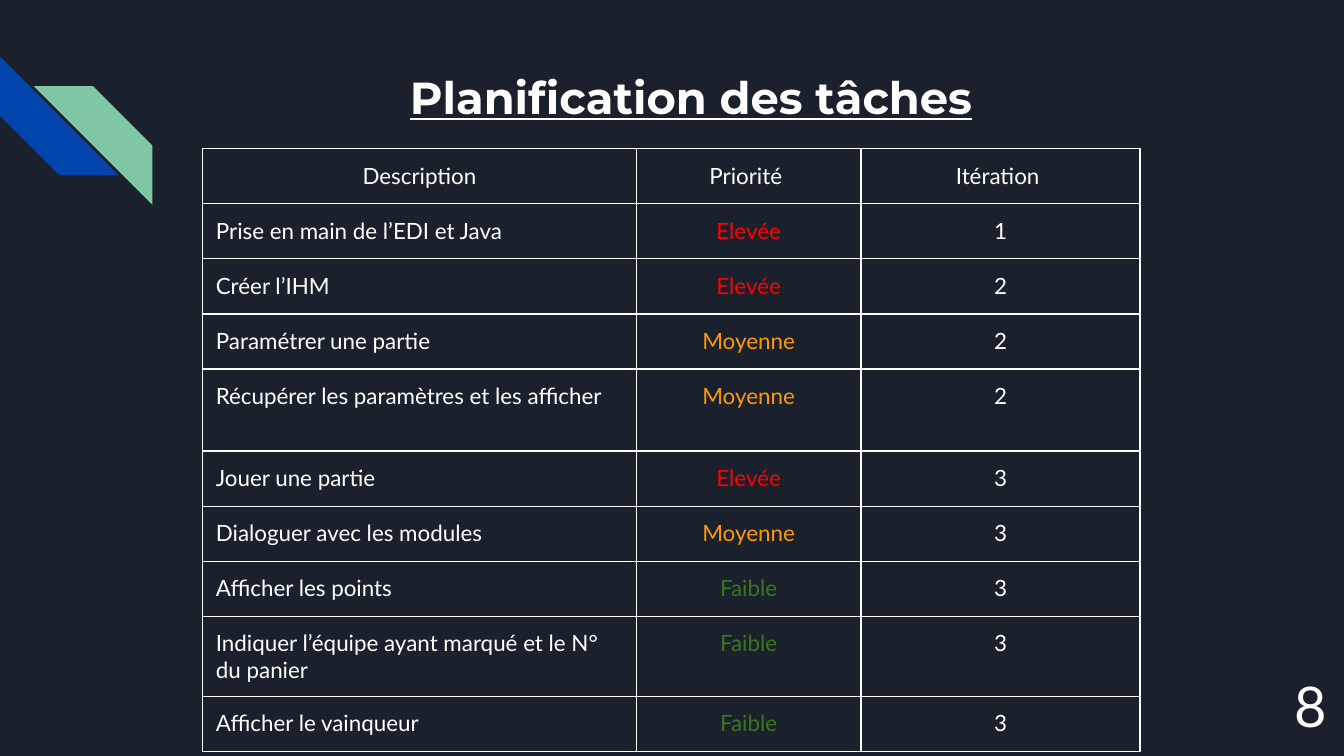
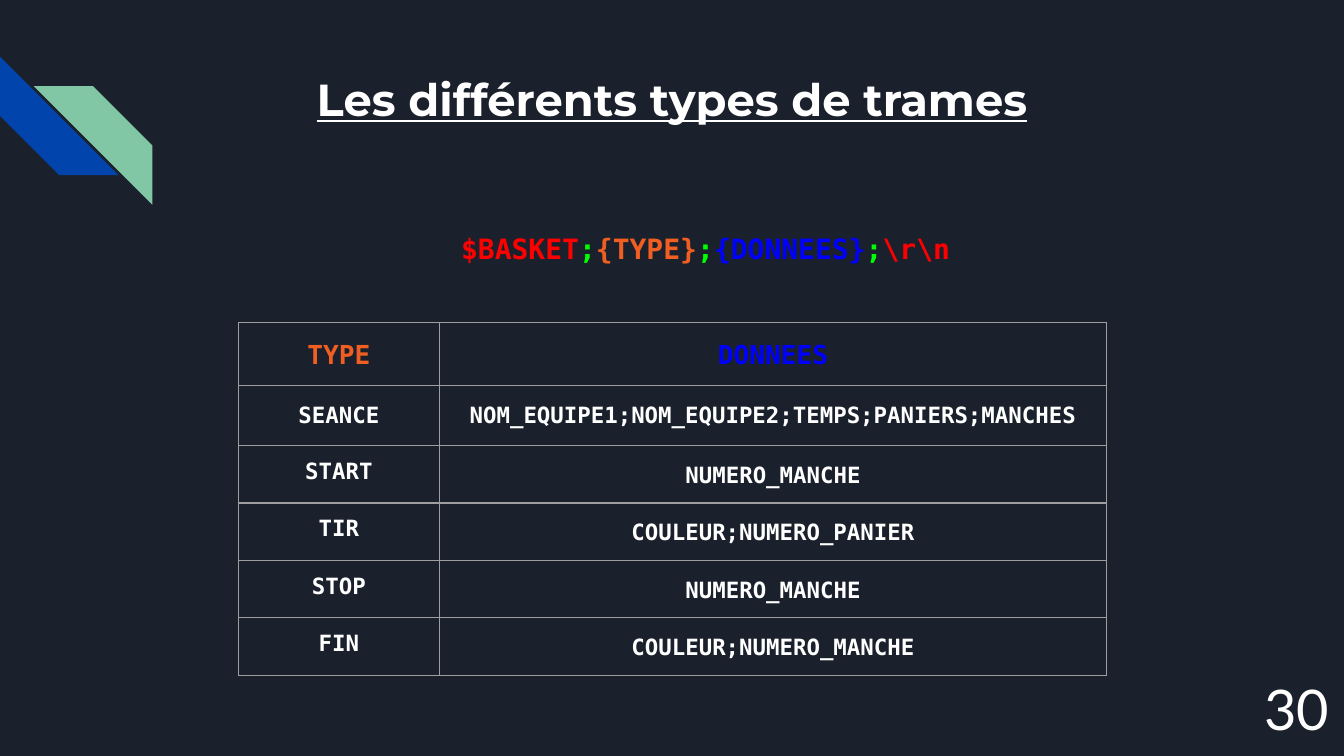
from dataclasses import dataclass, replace

import pptx
import pptx.dml.color
import pptx.enum.shapes
import pptx.enum.text
import pptx.oxml
import pptx.oxml.ns
import pptx.util

Cm = pptx.util.Cm
Pt = pptx.util.Pt
RGB = pptx.dml.color.RGBColor.from_string
ALIGN = pptx.enum.text.PP_ALIGN


@dataclass(frozen=True)
class Theme:
    background: str = "1B212C"
    text: str = "FFFFFF"
    blue_stripe: str = "0145AC"
    green_stripe: str = "82C7A5"
    grid: str = "9E9E9E"
    red: str = "FF0000"
    amber: str = "FF9900"
    dark_green: str = "38761D"
    orange: str = "F15E22"
    bright_green: str = "00FF00"
    blue: str = "0000FF"
    title_font: str = "Montserrat"
    body_font: str = "Lato"
    code_font: str = "DejaVu Sans Mono"
    title_size: int = 24
    number_size: int = 30
    frame_size: int = 15
    code_header_size: int = 14
    body_size: int = 12
    inset: float = 0.25


THEME = Theme()


@dataclass(frozen=True)
class TextStyle:
    font: str
    size: int
    color: str = THEME.text
    bold: bool = False
    underline: bool = False
    align: ALIGN = ALIGN.CENTER
    line_spacing: float = 1.0


TITLE = TextStyle(THEME.title_font, THEME.title_size, bold=True, underline=True)
NUMBER = TextStyle(THEME.body_font, THEME.number_size, align=ALIGN.LEFT)
BODY = TextStyle(THEME.body_font, THEME.body_size)
BODY_LEFT = replace(BODY, align=ALIGN.LEFT)
CODE = TextStyle(THEME.code_font, THEME.body_size, bold=True)
CODE_SPACED = replace(CODE, line_spacing=1.15)
CODE_HEADER = replace(CODE_SPACED, size=THEME.code_header_size)
FRAME = replace(CODE_SPACED, size=THEME.frame_size)

PRIORITY_COLORS = {
    "Elevée": THEME.red,
    "Moyenne": THEME.amber,
    "Faible": THEME.dark_green,
}

TASKS = [
    ("Prise en main de l’EDI et Java", "Elevée", "1"),
    ("Créer l’IHM", "Elevée", "2"),
    ("Paramétrer une partie", "Moyenne", "2"),
    ("Récupérer les paramètres et les afficher", "Moyenne", "2"),
    ("Jouer une partie", "Elevée", "3"),
    ("Dialoguer avec les modules", "Moyenne", "3"),
    ("Afficher les points", "Faible", "3"),
    ("Indiquer l’équipe ayant marqué et le N° du panier", "Faible", "3"),
    ("Afficher le vainqueur", "Faible", "3"),
]

FRAME_PARTS = [
    ("$BASKET", THEME.red),
    (";", THEME.bright_green),
    ("{TYPE}", THEME.orange),
    (";", THEME.bright_green),
    ("{DONNEES}", THEME.blue),
    (";", THEME.bright_green),
    (r"\r\n", THEME.red),
]

FRAME_TYPES = [
    ("START", "NUMERO_MANCHE"),
    ("TIR", "COULEUR;NUMERO_PANIER"),
    ("STOP", "NUMERO_MANCHE"),
    ("FIN", "COULEUR;NUMERO_MANCHE"),
]


def write_runs(paragraph, style, parts):
    """Fill a paragraph with (text, colour) parts that share one style."""
    paragraph.alignment = style.align
    paragraph.line_spacing = style.line_spacing
    for text, color in parts:
        run = paragraph.add_run()
        run.text = text
        font = run.font
        font.name, font.size = style.font, Pt(style.size)
        font.bold, font.underline = style.bold, style.underline
        font.color.rgb = RGB(color)


def set_margins(target):
    for side in ("left", "top", "right", "bottom"):
        setattr(target, f"margin_{side}", Cm(THEME.inset))


def add_text(slide, left, top, width, height, style, parts):
    box = slide.shapes.add_textbox(Cm(left), Cm(top), Cm(width), Cm(height))
    frame = box.text_frame
    frame.word_wrap = True
    set_margins(frame)
    paragraph = frame.paragraphs[0]
    write_runs(paragraph, style, parts)
    return paragraph


def add_stripe(slide, left, top, rotation, color):
    shape = slide.shapes.add_shape(
        pptx.enum.shapes.MSO_SHAPE.DIAGONAL_STRIPE,
        Cm(left), Cm(top), Cm(2.24), Cm(2.24))
    shape.adjustments[0] = 0.5
    shape.rotation = rotation
    shape.shadow.inherit = False
    shape.fill.solid()
    shape.fill.fore_color.rgb = RGB(color)
    shape.line.fill.background()


def add_page(presentation, title, title_left, title_top):
    """Add a slide with the shared background, corner stripes and title."""
    slide = presentation.slides.add_slide(presentation.slide_layouts[6])
    slide.background.fill.solid()
    slide.background.fill.fore_color.rgb = RGB(THEME.background)
    add_stripe(slide, 0, 1.07, 270, THEME.blue_stripe)
    add_stripe(slide, 0.64, 1.63, 90, THEME.green_stripe)
    add_text(slide, title_left, title_top, 25.4, 2.54, TITLE, [(title, TITLE.color)])
    return slide


def add_page_number(slide, number, left, top, width):
    add_text(slide, left, top, width, 1.8, NUMBER, [(number, NUMBER.color)])


def set_borders(cell, color, points):
    properties = cell._tc.get_or_add_tcPr()
    for index, side in enumerate("LRTB"):
        line = pptx.oxml.parse_xml(
            f'<a:ln{side} {pptx.oxml.ns.nsdecls("a")} w="{Pt(points)}">'
            f'<a:solidFill><a:srgbClr val="{color}"/></a:solidFill></a:ln{side}>')
        properties.insert(index, line)


def add_table(slide, left, top, widths, heights, rows, border):
    """Draw rows of (text, style) cells; border is (colour, points)."""
    table = slide.shapes.add_table(
        len(rows), len(widths), Cm(left), Cm(top),
        Cm(sum(widths)), Cm(sum(heights))).table
    table.first_row = table.horz_banding = False
    for column, width in zip(table.columns, widths):
        column.width = Cm(width)
    for table_row, height, row in zip(table.rows, heights, rows):
        table_row.height = Cm(height)
        for cell, (text, style) in zip(table_row.cells, row):
            set_margins(cell)
            cell.fill.background()
            set_borders(cell, *border)
            write_runs(cell.text_frame.paragraphs[0], style, [(text, style.color)])


def add_planning_slide(presentation):
    slide = add_page(presentation, "Planification des tâches", 0.36, 1.07)
    add_page_number(slide, "8", 24.21, 12.45, 1.42)
    rows = [[(label, BODY) for label in ("Description", "Priorité ", "Itération ")]]
    for description, priority, iteration in TASKS:
        priority_style = replace(BODY, color=PRIORITY_COLORS[priority])
        rows.append([(description, BODY_LEFT), (priority, priority_style),
                     (iteration, BODY)])
    heights = [1.04] * len(rows)
    heights[4] = 1.56
    add_table(slide, 3.83, 2.81, [8.2, 4.24, 5.28], heights, rows, (THEME.text, 1))


def add_frames_slide(presentation):
    slide = add_page(presentation, "Les différents types de trames", 0, 1.1)
    paragraph = add_text(slide, 6.3, 4.04, 12.8, 1.14, FRAME, FRAME_PARTS)
    paragraph._p.get_or_add_pPr().set("indent", str(Cm(1.27)))
    rows = [
        [("TYPE", replace(CODE_HEADER, color=THEME.orange)),
         ("DONNEES", replace(CODE_HEADER, color=THEME.blue))],
        [("SEANCE", CODE_SPACED),
         ("NOM_EQUIPE1;NOM_EQUIPE2;TEMPS;PANIERS;MANCHES", CODE_SPACED)],
    ]
    rows += [[(kind, CODE), (data, CODE_SPACED)] for kind, data in FRAME_TYPES]
    heights = [1.09, 1.14] + [1.02] * len(FRAME_TYPES)
    add_table(slide, 4.5, 6.1, [3.81, 12.6], heights, rows, (THEME.grid, 0.75))
    add_page_number(slide, "30", 23.65, 12.5, 1.75)


def main():
    presentation = pptx.Presentation()
    presentation.slide_width = Cm(25.4)
    presentation.slide_height = Cm(14.29)
    add_planning_slide(presentation)
    add_frames_slide(presentation)
    presentation.save("out.pptx")


if __name__ == "__main__":
    main()
